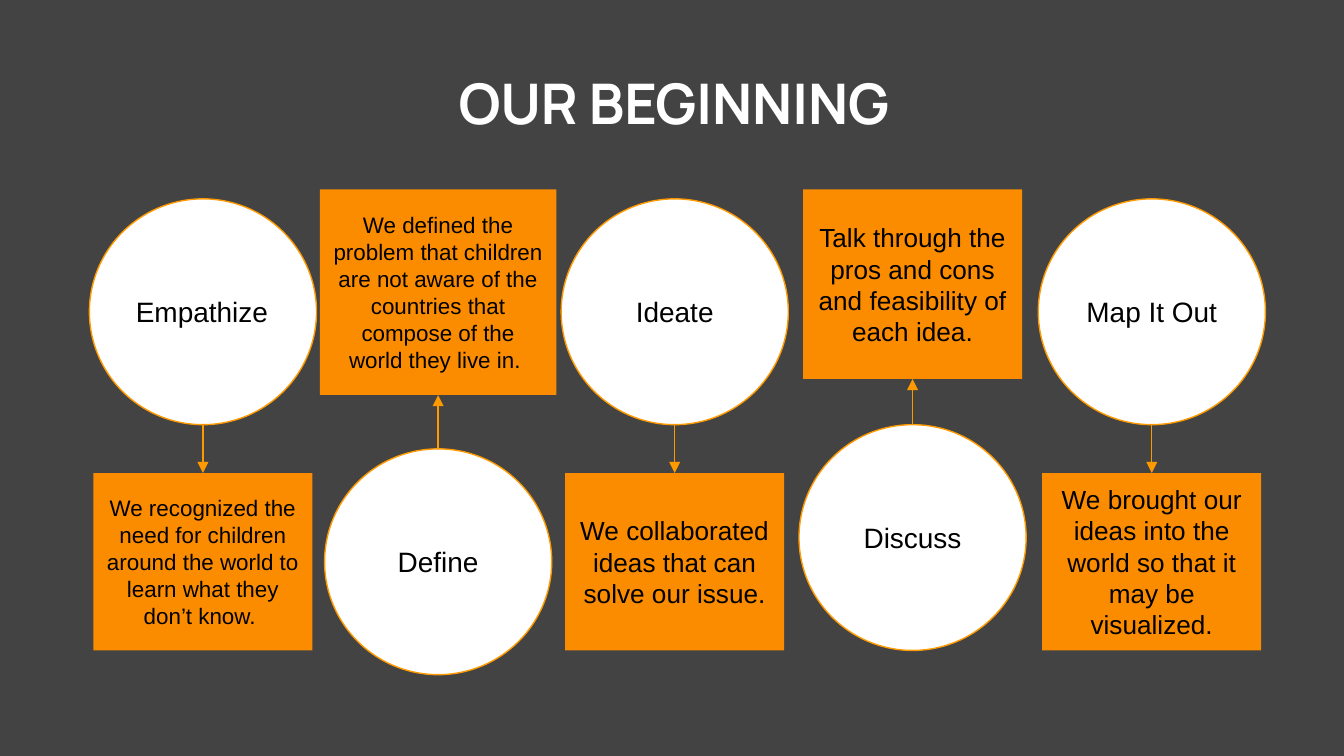
"""Build the "Our Beginning" slide: five design steps, each with its description."""
from lxml import etree
from pptx import Presentation, util as u
from pptx.dml.color import RGBColor
from pptx.enum import shapes, text
from pptx.oxml import ns

COLORS = {"background": "434343", "circle": "FFFFFF", "box": "FB8C00",
          "accent": "FF9900", "title": "FFFFFF", "body": "000000"}
SLIDE_WIDTH = u.Inches(10)
SLIDE_HEIGHT = SLIDE_WIDTH * 9 // 16
CIRCLE_WIDTH, CIRCLE_HEIGHT = 1.69, 1.68
CENTER, LEFT = text.PP_ALIGN.CENTER, text.PP_ALIGN.LEFT
MIDDLE, BOTTOM = text.MSO_ANCHOR.MIDDLE, text.MSO_ANCHOR.BOTTOM

# name, alignment, center x, circle top, box top, box width, box height, size, description
STEPS = [
    ("Empathize", LEFT, 1.51, 1.48, 3.52, 1.63, 1.32, 12,
     "We recognized the need for children around the world to learn what they don’t know. "),
    ("Define", CENTER, 3.26, 3.34, 1.41, 1.76, 1.53, 12,
     "We defined the problem that children are not aware of the countries that "
     "compose of the world they live in. "),
    ("Ideate", CENTER, 5.02, 1.48, 3.52, 1.63, 1.32, 14,
     "We collaborated ideas that can solve our issue."),
    ("Discuss", CENTER, 6.79, 3.16, 1.41, 1.63, 1.41, 14,
     "Talk through the pros and cons and feasibility of each idea."),
    ("Map It Out", CENTER, 8.57, 1.48, 3.52, 1.63, 1.32, 14,
     "We brought our ideas into the world so that it may be visualized."),
]


def color(name):
    """Return the named palette colour."""
    return RGBColor.from_string(COLORS[name])


def set_format(target, values):
    """Set each attribute in values on the target."""
    for name, value in values.items():
        setattr(target, name, value)


def write(shape, content, size, align=CENTER, anchor=MIDDLE, font="Arial",
          color_name="body", bold=False):
    """Put one formatted paragraph into a shape."""
    frame = shape.text_frame
    margins = dict.fromkeys(
        ("margin_left", "margin_top", "margin_right", "margin_bottom"), u.Inches(0.1))
    set_format(frame, {"word_wrap": True, "vertical_anchor": anchor, **margins})
    paragraph = frame.paragraphs[0]
    paragraph.alignment = align
    run = paragraph.add_run()
    run.text = content
    set_format(run.font, {"name": font, "size": u.Pt(size), "bold": bold})
    run.font.color.rgb = color(color_name)


def add_title(slide, content):
    """Add the slide heading."""
    box = slide.shapes.add_textbox(*map(u.Inches, (3.14, 0.28, 3.75, 0.83)))
    write(box, content, 30, anchor=BOTTOM, font="Manrope", color_name="title", bold=True)


def add_panel(slide, kind, center, top, width, height, fill):
    """Add a filled shape without outline, centred on a column."""
    bounds = (center - width / 2, top, width, height)
    shape = slide.shapes.add_shape(kind, *map(u.Inches, bounds))
    shape.shadow.inherit = False
    shape.fill.solid()
    shape.fill.fore_color.rgb = color(fill)
    shape.line.fill.background()
    return shape


def set_line(line):
    """Give a line the accent colour and the common width."""
    line.color.rgb = color("accent")
    line.width = u.Pt(0.75)


def add_arrow(slide, center, start, end, box, side):
    """Add an arrow from a circle's edge to a joined side of its box."""
    points = map(u.Inches, (center, start, center, end))
    arrow = slide.shapes.add_connector(shapes.MSO_CONNECTOR.STRAIGHT, *points)
    arrow.end_connect(box, side)
    set_line(arrow.line)
    etree.SubElement(arrow.line._get_or_add_ln(), ns.qn("a:tailEnd"), type="triangle")
    etree.SubElement(arrow._element.spPr, ns.qn("a:effectLst"))


def add_step(slide, name, align, center, circle_top, box_top, width, height, size, description):
    """Add a step's circle, its description box and the arrow between them."""
    circle = add_panel(slide, shapes.MSO_SHAPE.FLOWCHART_CONNECTOR, center, circle_top,
                       CIRCLE_WIDTH, CIRCLE_HEIGHT, "circle")
    set_line(circle.line)
    write(circle, name, 15, align)
    box = add_panel(slide, shapes.MSO_SHAPE.RECTANGLE, center, box_top, width, height, "box")
    write(box, description, size)
    if box_top > circle_top:
        add_arrow(slide, center, circle_top + CIRCLE_HEIGHT, box_top, box, 0)
    else:
        add_arrow(slide, center, circle_top, box_top + height, box, 2)


def main():
    """Build and save the presentation."""
    presentation = Presentation()
    set_format(presentation, {"slide_width": SLIDE_WIDTH, "slide_height": SLIDE_HEIGHT})
    slide = presentation.slides.add_slide(presentation.slide_layouts[6])
    slide.background.fill.solid()
    slide.background.fill.fore_color.rgb = color("background")
    add_title(slide, "OUR BEGINNING")
    for step in STEPS:
        add_step(slide, *step)
    presentation.save("out.pptx")


if __name__ == "__main__":
    main()
